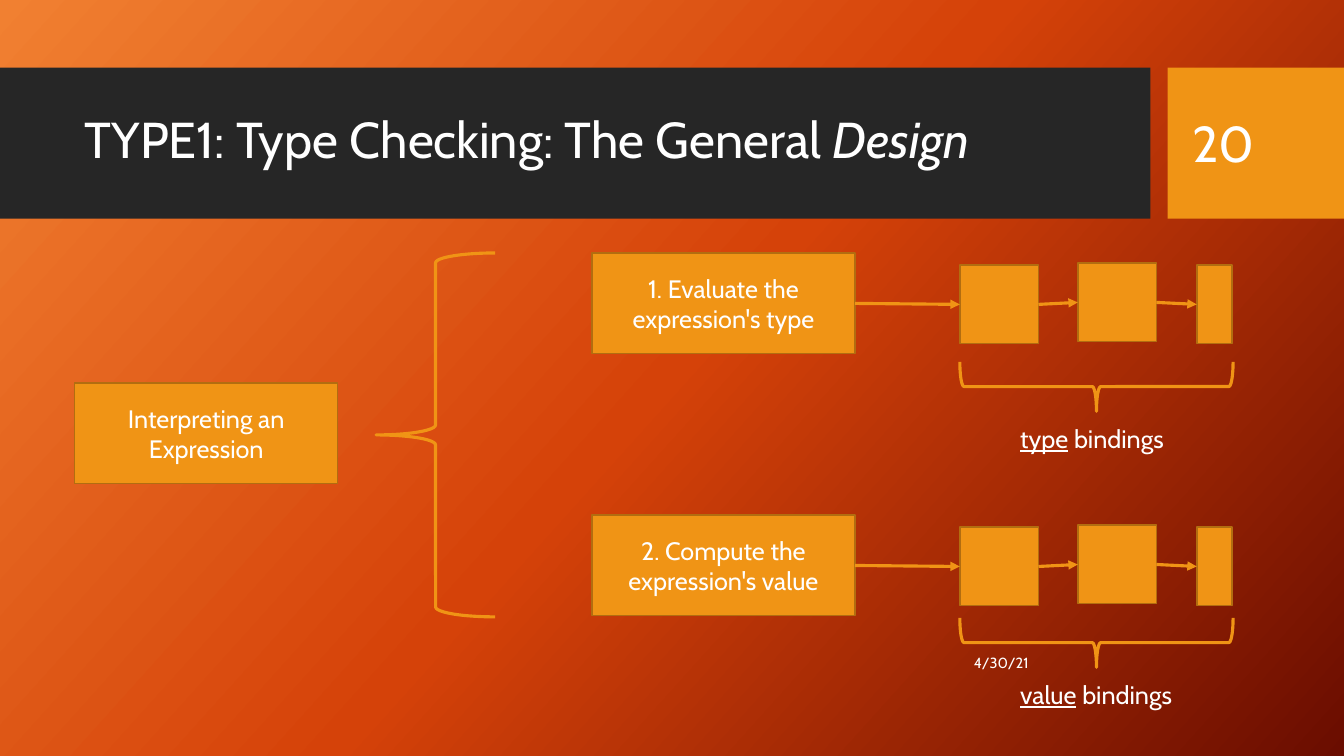
from copy import deepcopy

from lxml import etree
from pptx import Presentation
from pptx import util as u
from pptx.dml.color import RGBColor
from pptx.enum import shapes, text
from pptx.oxml.ns import qn

COLORS = {
    "glow": "F18031",
    "orange": "D54209",
    "maroon": "6A0D00",
    "band": "262626",
    "accent": "F09415",
    "edge": "B26D10",
    "text": "FFFFFF",
}
FONT = "Cabin"


class Deck:
    def __init__(self, prs):
        self.slide = prs.slides.add_slide(prs.slide_layouts[5])

    def color(self, name):
        return RGBColor.from_string(COLORS[name])

    def background(self, names, angle):
        fill = self.slide.background.fill
        fill.gradient()
        fill.gradient_angle = angle
        stops = self.slide.element.find(".//" + qn("a:gsLst"))
        stops.append(deepcopy(stops[-1]))
        for i, (stop, name) in enumerate(zip(fill.gradient_stops, names)):
            stop.position = i / (len(names) - 1)
            stop.color.rgb = self.color(name)

    def set_text(self, tf, paragraphs, size, align, anchor):
        tf.word_wrap = True
        tf.vertical_anchor = anchor
        for i, runs in enumerate(paragraphs):
            p = tf.paragraphs[0] if i == 0 else tf.add_paragraph()
            p.alignment = align
            p.font.name = FONT
            p.font.size = u.Pt(size)
            p.font.color.rgb = self.color("text")
            for words, style in runs:
                r = p.add_run()
                r.text = words
                r.font.italic = True if style == "italic" else None
                r.font.underline = True if style == "underline" else None

    def title(self, box, runs):
        sp = self.slide.shapes.title
        sp.left, sp.top, sp.width, sp.height = map(u.Inches, box)
        sp.element.getparent().append(sp.element)
        self.set_text(sp.text_frame, [runs], 36, text.PP_ALIGN.LEFT, text.MSO_ANCHOR.MIDDLE)
        sp.text_frame.auto_size = text.MSO_AUTO_SIZE.NONE
        sp.text_frame.paragraphs[0].line_spacing = 0.9

    def label(self, box, runs, size=18, align=text.PP_ALIGN.LEFT, anchor=text.MSO_ANCHOR.TOP):
        sp = self.slide.shapes.add_textbox(*map(u.Inches, box))
        self.set_text(sp.text_frame, [runs], size, align, anchor)

    def rect(self, box, fill="accent", edge="edge", lines=()):
        sp = self.slide.shapes.add_shape(shapes.MSO_SHAPE.RECTANGLE, *map(u.Inches, box))
        sp.shadow.inherit = False
        sp.fill.solid()
        sp.fill.fore_color.rgb = self.color(fill)
        if edge:
            sp.line.color.rgb = self.color(edge)
            sp.line.width = u.Pt(1)
        else:
            sp.line.fill.background()
        paragraphs = [[(line, None)] for line in lines]
        self.set_text(sp.text_frame, paragraphs, 18, text.PP_ALIGN.CENTER, text.MSO_ANCHOR.MIDDLE)
        return sp

    def brace(self, box, rotation=0):
        sp = self.slide.shapes.add_shape(shapes.MSO_SHAPE.LEFT_BRACE, *map(u.Inches, box))
        sp.shadow.inherit = False
        sp.fill.background()
        sp.line.color.rgb = self.color("accent")
        sp.line.width = u.Pt(2.25)
        sp.rotation = rotation

    def arrow(self, source, target):
        cxn = self.slide.shapes.add_connector(shapes.MSO_CONNECTOR.STRAIGHT, 0, 0, 0, 0)
        cxn.begin_connect(source, 3)
        cxn.end_connect(target, 1)
        cxn.line.color.rgb = self.color("accent")
        cxn.line.width = u.Pt(2.25)
        props = cxn.element.spPr
        etree.SubElement(props.find(qn("a:ln")), qn("a:tailEnd"), type="triangle")
        etree.SubElement(props, qn("a:effectLst"))

    def step(self, top, words, binding, brace_top):
        previous = self.rect((5.87, top, 2.61, 1), lines=[words])
        for left, offset, width in ((9.52, 0.12, 0.78), (10.69, 0.1, 0.78), (11.87, 0.12, 0.35)):
            cell = self.rect((left, top + offset, width, 0.78))
            self.arrow(previous, cell)
            previous = cell
        self.brace((10.63, brace_top, 0.49, 2.71), rotation=270)
        self.label((10.02, brace_top + 1.67, 2.21, 0.4),
                   [(binding, "underline"), (" bindings", None)])


def main():
    prs = Presentation()
    prs.slide_width, prs.slide_height = u.Inches(13.33), u.Inches(7.5)
    deck = Deck(prs)
    deck.background(["glow", "orange", "maroon"], 318)
    deck.rect((0, 0.67, 11.41, 1.5), fill="band", edge=None)
    deck.rect((11.58, 0.67, 1.75, 1.5), edge=None)
    deck.title((0.74, 0.82, 10.51, 1.18),
               [("TYPE1: Type Checking: The General ", None), ("Design", "italic")])
    deck.label((11.73, 0.82, 1.26, 1.19), [("20", None)], size=36,
               anchor=text.MSO_ANCHOR.MIDDLE)
    deck.label((7.3, 6.37, 3, 0.4), [("4/30/21", None)], size=10.5,
               align=text.PP_ALIGN.RIGHT, anchor=text.MSO_ANCHOR.MIDDLE)
    deck.rect((0.74, 3.8, 2.61, 1), lines=["Interpreting an", "Expression"])
    deck.brace((3.73, 2.51, 1.18, 3.61))
    deck.step(2.51, "1. Evaluate the expression's type", "type", 2.48)
    deck.step(5.11, "2. Compute the expression's value", "value", 5.02)
    prs.save("out.pptx")


if __name__ == "__main__":
    main()
